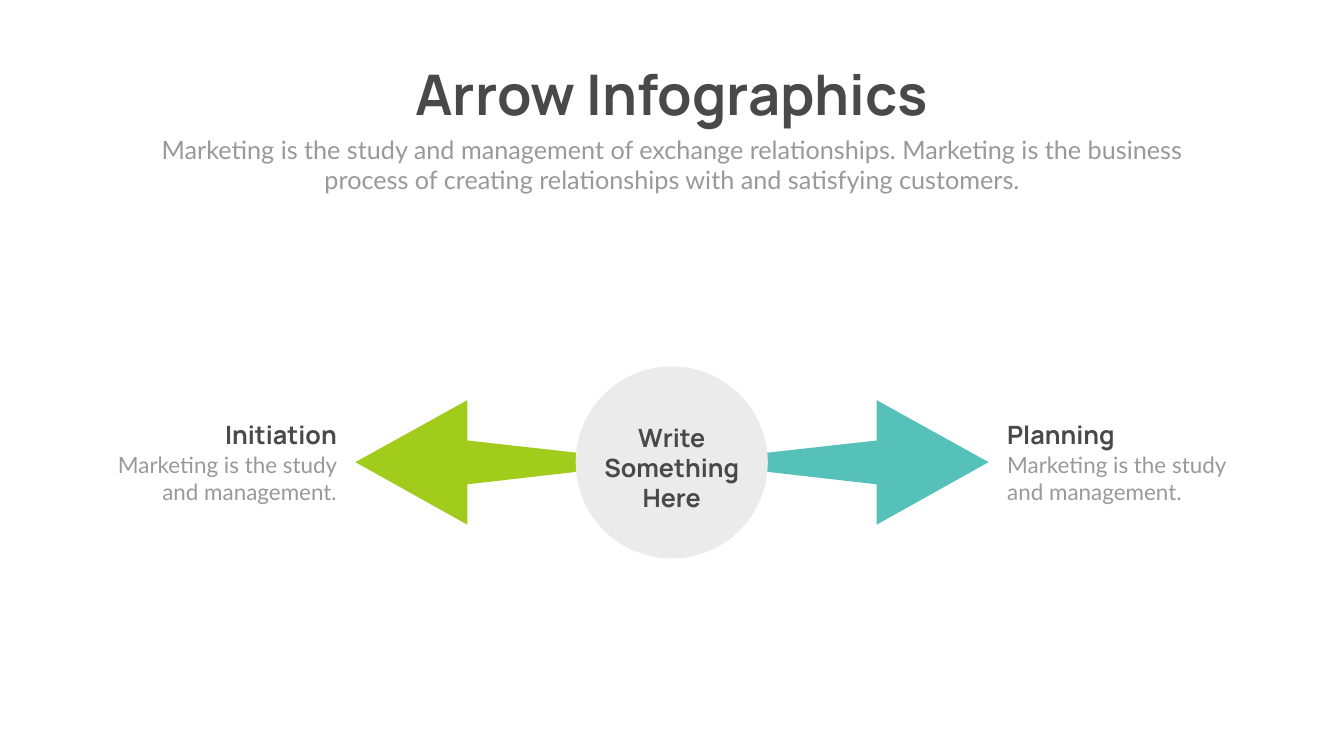
from dataclasses import dataclass

from pptx import Presentation
from pptx import util as u
from pptx.dml.color import RGBColor
from pptx.enum import shapes, text

EMU_PER_PX = 9144
WIDTH, HEIGHT = 2666, 1500


@dataclass(frozen=True)
class Theme:
    heading_font: str = "Manrope"
    body_font: str = "Lato"
    dark: str = "494949"
    grey: str = "999999"
    hub: str = "EBEBEB"
    green: str = "A1CC1C"
    teal: str = "56C1B8"
    title_size: int = 80
    heading_size: int = 36
    intro_size: int = 36
    body_size: int = 32


def px(length):
    return u.Emu(length * EMU_PER_PX)


class SlideBuilder:
    def __init__(self, slide, theme):
        self.slide = slide
        self.theme = theme

    def set_text(self, shape, wording, size, align, heading, wrap=True):
        frame = shape.text_frame
        frame.word_wrap = wrap
        frame.auto_size = text.MSO_AUTO_SIZE.SHAPE_TO_FIT_TEXT
        frame.vertical_anchor = text.MSO_ANCHOR.TOP
        paragraph = frame.paragraphs[0]
        paragraph.alignment = align
        run = paragraph.add_run()
        run.text = wording
        font = run.font
        font.name = self.theme.heading_font if heading else self.theme.body_font
        font.size = u.Pt(size)
        font.bold = heading
        font.color.rgb = RGBColor.from_string(self.theme.dark if heading else self.theme.grey)

    def title(self, wording, left, top, width, height):
        heading = self.slide.shapes.title
        heading.left, heading.top = px(left), px(top)
        heading.width, heading.height = px(width), px(height)
        self.set_text(heading, wording, self.theme.title_size, text.PP_ALIGN.CENTER, True, wrap=False)

    def label(self, wording, left, top, width, height, size, align, heading=False):
        box = self.slide.shapes.add_textbox(px(left), px(top), px(width), px(height))
        self.set_text(box, wording, size, align, heading)

    def paint(self, shape, color):
        shape.shadow.inherit = False
        shape.fill.solid()
        shape.fill.fore_color.rgb = RGBColor.from_string(color)
        shape.line.fill.background()

    def polygon(self, points, color):
        outline = self.slide.shapes.build_freeform(*points[0], scale=EMU_PER_PX)
        outline.add_line_segments(points[1:], close=True)
        self.paint(outline.convert_to_shape(), color)

    def circle(self, left, top, diameter, color):
        disc = self.slide.shapes.add_shape(
            shapes.MSO_SHAPE.OVAL, px(left), px(top), px(diameter), px(diameter))
        self.paint(disc, color)


def main():
    theme = Theme()
    deck = Presentation()
    deck.slide_width, deck.slide_height = px(WIDTH), px(HEIGHT)
    builder = SlideBuilder(deck.slides.add_slide(deck.slide_layouts[5]), theme)
    center = text.PP_ALIGN.CENTER

    builder.title("Arrow Infographics", 769, 114, 1128, 145)
    builder.label(
        "Marketing is the study and management of exchange relationships. "
        "Marketing is the business process of creating relationships with "
        "and satisfying customers.",
        292, 261, 2082, 131, theme.intro_size, center)

    margin, label_width = 210, 468
    stages = [
        ("Initiation", margin, text.PP_ALIGN.RIGHT),
        ("Planning", WIDTH - margin - label_width, text.PP_ALIGN.LEFT),
    ]
    for stage, left, align in stages:
        builder.label(stage, left, 827, label_width, 71, theme.heading_size, align, heading=True)
        builder.label("Marketing is the study and management.",
                      left, 890, label_width, 118, theme.body_size, align)

    left_arrow = [(927, 794), (705, 917), (927, 1041), (927, 961), (1312, 917), (927, 874)]
    right_arrow = [(WIDTH - x, y) for x, y in left_arrow]
    builder.polygon(left_arrow, theme.green)
    builder.polygon(right_arrow, theme.teal)

    hub_size = 381
    hub_left = (WIDTH - hub_size) // 2
    builder.circle(hub_left, 727, hub_size, theme.hub)
    builder.label("Write Something Here", hub_left, 833, hub_size, 192,
                  theme.heading_size, center, heading=True)

    deck.save("out.pptx")


if __name__ == "__main__":
    main()
